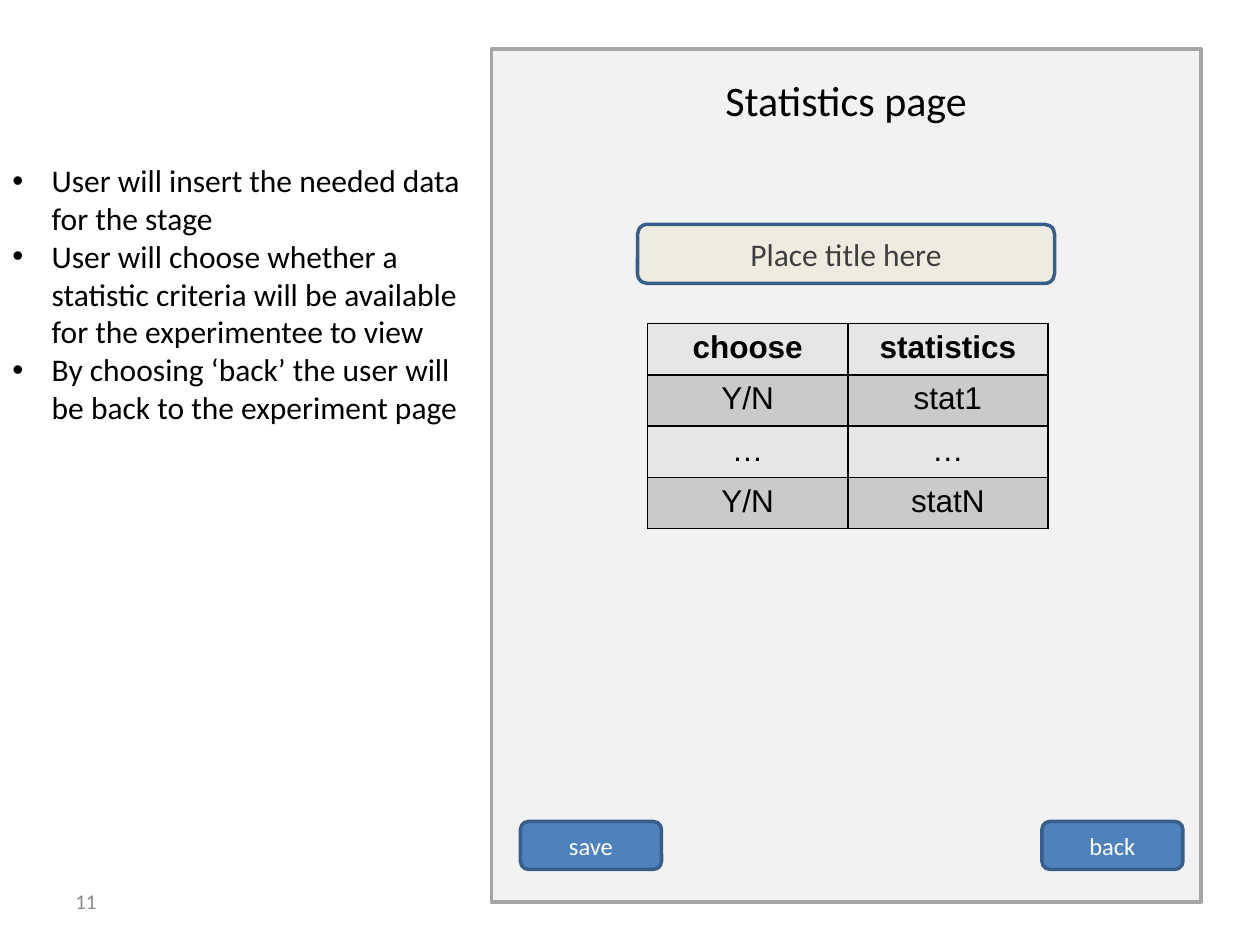
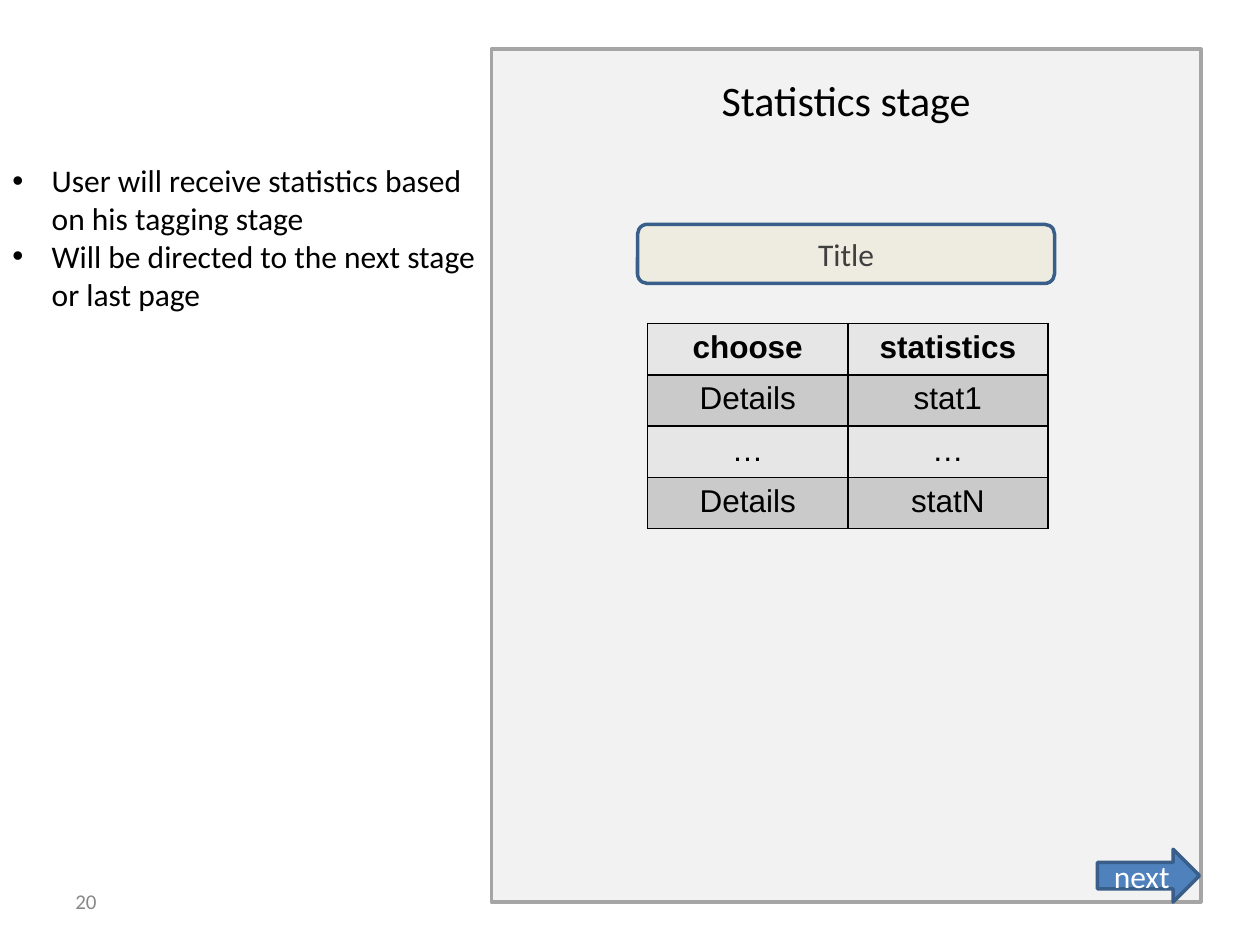
import pptx
import pptx.util
import pptx.dml.color
import pptx.enum.shapes
import pptx.enum.text
import pptx.oxml.ns
from dataclasses import dataclass
from lxml import etree

Pt = pptx.util.Pt
SHAPE = pptx.enum.shapes.MSO_SHAPE
ALIGN = pptx.enum.text.PP_ALIGN
ANCHOR = pptx.enum.text.MSO_ANCHOR


# Content
def statistics_rows(choice):
    return [("choose", "statistics"), (choice, "stat1"), ("…", "…"), (choice, "statN")]


PAGES = [
    {
        "title": "Statistics page",
        "field": "Place title here",
        "rows": statistics_rows("Y/N"),
        "notes": [
            "User will insert the needed data for the stage",
            "User will choose whether a statistic criteria will be available "
            "for the experimentee to view",
            "By choosing ‘back’ the user will be back to the experiment page",
        ],
        "buttons": [("save", "left"), ("back", "right")],
        "number": "11",
    },
    {
        "title": "Statistics stage",
        "field": "Title",
        "rows": statistics_rows("Details"),
        "notes": [
            "User will receive statistics based on his tagging stage",
            "Will be directed to the next stage or last page",
        ],
        "buttons": [("next", "arrow")],
        "number": "20",
    },
]


# Theme and places (left, top, width, height in points)
@dataclass(frozen=True)
class Theme:
    font: str = "Calibri"
    table_font: str = "Arial"
    text: str = "000000"
    field_text: str = "3F3F3F"
    button_text: str = "FFFFFF"
    number_text: str = "888888"
    panel: str = "F2F2F2"
    panel_line: str = "A5A5A5"
    field: str = "EEECE1"
    button: str = "4F81BD"
    outline: str = "395E89"
    bands: tuple = ("E6E6E6", "CACACA")
    title_size: int = 24
    body_size: int = 18
    button_size: int = 14
    number_size: int = 12
    line: int = 2


THEME = Theme()
PANEL = (280.8, 28.1, 405.4, 487.4)
TITLE = (280.8, 38.9, 405.4, 36.3)
FIELD = (364.3, 128.2, 238.3, 33.8)
TABLE = (370.1, 185, 228.8, 117.2)
NOTES_LEFT, NOTES_TOP, NOTES_WIDTH, NOTES_LINE = 0, 88.6, 280.8, 22
NUMBER = (36, 500.4, 167.8, 28.8)
BUTTONS = {
    "left": (297.4, 469.4, 80.6, 27.4),
    "right": (595.4, 469.4, 80.6, 27.4),
    "arrow": (627.1, 485.3, 58.3, 30.2),
}
BULLET_INDENT = 22.5


# Helpers
def points(box):
    return [Pt(value) for value in box]


def rgb(code):
    return pptx.dml.color.RGBColor.from_string(code)


def add_element(parent, tag, **attributes):
    return etree.SubElement(parent, pptx.oxml.ns.qn(tag), attributes)


def style(paragraph, size, color, font=THEME.font, align=ALIGN.CENTER, bold=False):
    paragraph.alignment = align
    paragraph.font.size = Pt(size)
    paragraph.font.name = font
    paragraph.font.bold = bold
    paragraph.font.color.rgb = rgb(color)


def add_box(slide, kind, box, fill, line):
    shape = slide.shapes.add_shape(kind, *points(box))
    shape.shadow.inherit = False
    shape.fill.solid()
    shape.fill.fore_color.rgb = rgb(fill)
    shape.line.color.rgb = rgb(line)
    shape.line.width = Pt(THEME.line)
    return shape


def add_label(slide, kind, box, fill, label, size, color):
    shape = add_box(slide, kind, box, fill, THEME.outline)
    shape.text_frame.text = label
    shape.text_frame.vertical_anchor = ANCHOR.MIDDLE
    style(shape.text_frame.paragraphs[0], size, color)


def add_text(slide, box):
    frame = slide.shapes.add_textbox(*points(box)).text_frame
    frame.word_wrap = True
    return frame


# Parts of a page
def add_panel(slide, title_text):
    panel = add_box(slide, SHAPE.RECTANGLE, PANEL, THEME.panel, THEME.panel_line)
    title = slide.shapes.title
    title.element.addprevious(panel.element)
    title.left, title.top, title.width, title.height = points(TITLE)
    title.text_frame.text = title_text
    title.text_frame.auto_size = pptx.enum.text.MSO_AUTO_SIZE.NONE
    title.text_frame.vertical_anchor = ANCHOR.TOP
    style(title.text_frame.paragraphs[0], THEME.title_size, THEME.text)


def add_border(cell):
    properties = cell._tc.get_or_add_tcPr()
    for position, side in enumerate(("a:lnL", "a:lnR", "a:lnT", "a:lnB")):
        border = add_element(properties, side, w=str(int(Pt(1))))
        fill = add_element(border, "a:solidFill")
        add_element(fill, "a:srgbClr", val=THEME.text)
        properties.insert(position, border)


def add_statistics(slide, rows):
    table = slide.shapes.add_table(len(rows), len(rows[0]), *points(TABLE)).table
    for r, row in enumerate(rows):
        for c, value in enumerate(row):
            cell = table.cell(r, c)
            cell.text = value
            cell.fill.solid()
            cell.fill.fore_color.rgb = rgb(THEME.bands[r % 2])
            style(cell.text_frame.paragraphs[0], THEME.body_size, THEME.text,
                  THEME.table_font, bold=r == 0)
            add_border(cell)


def add_notes(slide, notes):
    lines = sum(len(note) // 34 + 1 for note in notes)
    frame = add_text(slide, (NOTES_LEFT, NOTES_TOP, NOTES_WIDTH,
                             lines * NOTES_LINE + 7.2))
    frame.text = "\n".join(notes)
    for paragraph in frame.paragraphs:
        properties = paragraph._p.get_or_add_pPr()
        indent = int(Pt(BULLET_INDENT))
        properties.set("marL", str(indent))
        properties.set("indent", str(-indent))
        add_element(properties, "a:buFont", typeface="Arial")
        add_element(properties, "a:buChar", char="•")
        style(paragraph, THEME.body_size, THEME.text, align=ALIGN.LEFT)


def add_number(slide, number):
    frame = add_text(slide, NUMBER)
    frame.text = number
    frame.vertical_anchor = ANCHOR.MIDDLE
    style(frame.paragraphs[0], THEME.number_size, THEME.number_text, align=ALIGN.LEFT)


def add_buttons(slide, buttons):
    for label, place in buttons:
        if place == "arrow":
            kind, size = SHAPE.RIGHT_ARROW, THEME.body_size
        else:
            kind, size = SHAPE.ROUNDED_RECTANGLE, THEME.button_size
        add_label(slide, kind, BUTTONS[place], THEME.button, label, size,
                  THEME.button_text)


def main():
    deck = pptx.Presentation()
    deck.slide_width, deck.slide_height = Pt(720), Pt(540)
    title_only = deck.slide_layouts[5]
    for page in PAGES:
        slide = deck.slides.add_slide(title_only)
        add_panel(slide, page["title"])
        add_label(slide, SHAPE.ROUNDED_RECTANGLE, FIELD, THEME.field, page["field"],
                  THEME.body_size, THEME.field_text)
        add_statistics(slide, page["rows"])
        add_notes(slide, page["notes"])
        add_number(slide, page["number"])
        add_buttons(slide, page["buttons"])
    deck.save("out.pptx")


if __name__ == "__main__":
    main()
